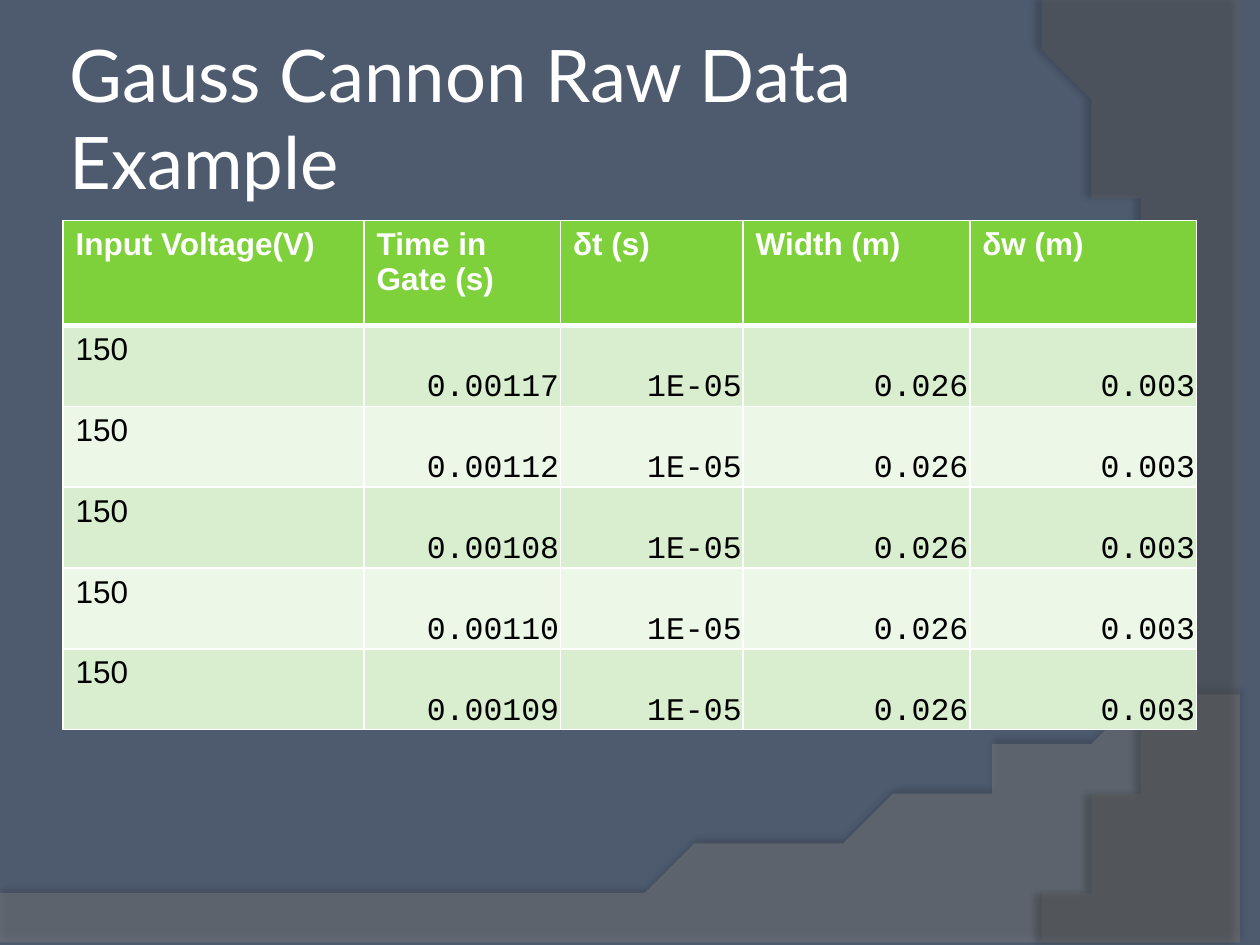
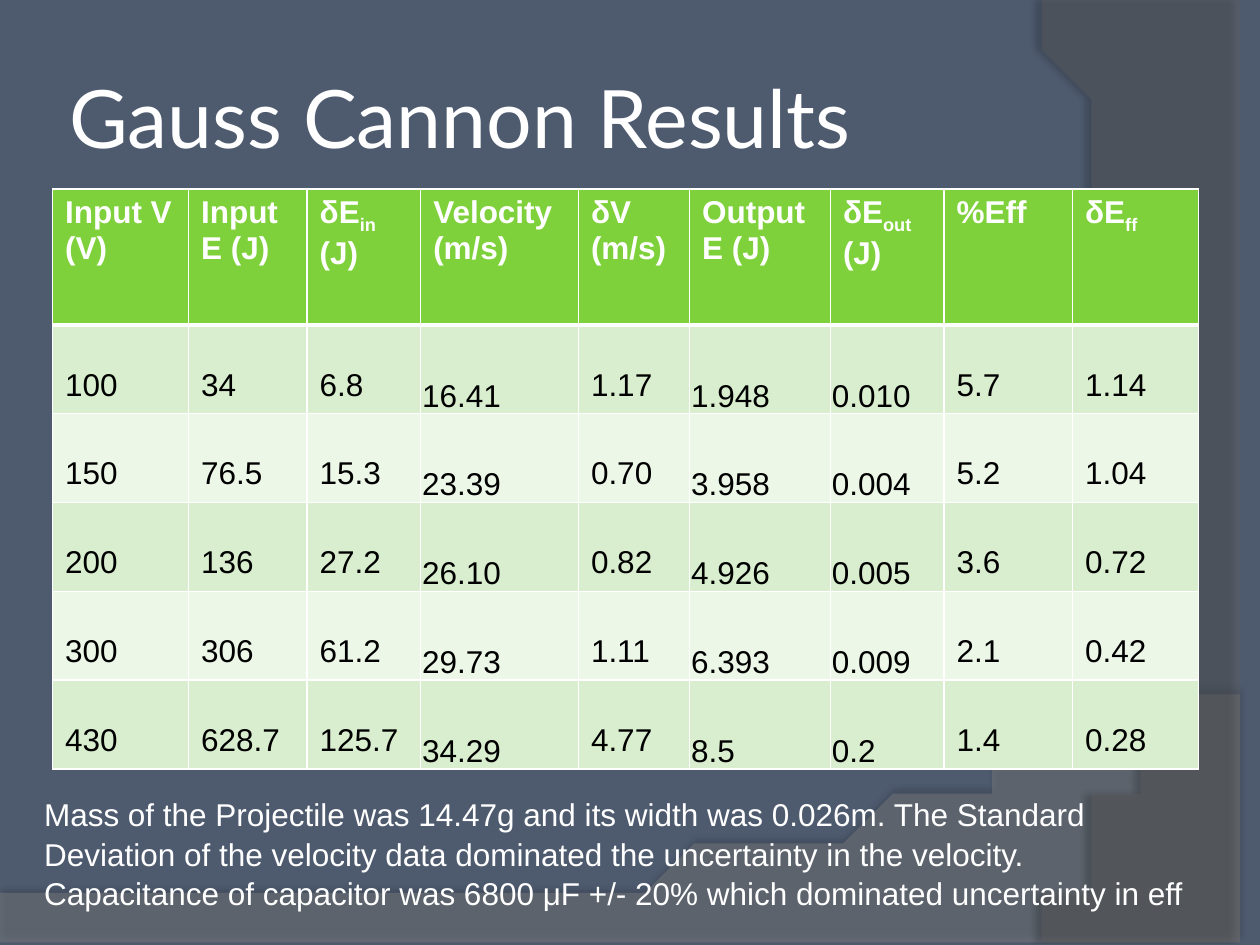
from dataclasses import dataclass

from lxml import etree
from pptx import Presentation
from pptx.dml.color import RGBColor
from pptx.enum.text import MSO_ANCHOR, MSO_AUTO_SIZE, PP_ALIGN
from pptx.oxml.ns import qn
from pptx.util import Cm, Pt

TOP, MIDDLE, BOTTOM = MSO_ANCHOR.TOP, MSO_ANCHOR.MIDDLE, MSO_ANCHOR.BOTTOM
LEFT, RIGHT = PP_ALIGN.LEFT, PP_ALIGN.RIGHT
NO_AUTOFIT = MSO_AUTO_SIZE.NONE
TITLE_ONLY = 5


@dataclass(frozen=True)
class Theme:
    """Colours, fonts and type sizes shared by the slides."""
    background: str = "4E5B6F"
    hill: str = "7F7F7F"
    arc: str = "5E5E5E"
    light: str = "FFFFFF"
    dark: str = "000000"
    header: str = "7FD13B"
    bands: tuple = ("D8EECE", "ECF7E8")
    title_font: str = "Lato"
    text_font: str = "Arial"
    data_font: str = "Courier New"
    title_size: float = 46
    long_title_size: float = 41.4
    text_size: float = 18
    rule: float = 1
    header_rule: float = 3


@dataclass(frozen=True)
class ColumnStyle:
    """Placement of the body values in a table column."""
    anchor: int = TOP
    align: int = LEFT
    font: str = Theme.text_font
    tight: bool = False
    top: float = 0.13


THEME = Theme()
LABEL = ColumnStyle()
READING = ColumnStyle(BOTTOM, RIGHT, THEME.data_font, True)
LOWERED = ColumnStyle(top=0.86)
COMPUTED = ColumnStyle(BOTTOM, tight=True)

RAW_COLUMNS = [
    ("Input Voltage(V)", 6.07, LABEL),
    ("Time in Gate (s)", 3.96, READING),
    ("δt (s)", 3.68, READING),
    ("Width (m)", 4.57, READING),
    ("δw (m)", 4.57, READING),
]
GATE_TIMES = ["0.00117", "0.00112", "0.00108", "0.00110", "0.00109"]

RESULT_COLUMNS = [
    ("Input V (V)", 2.74, LOWERED),
    ("Input E (J)", 2.39, LOWERED),
    (("δE", "in", " (J)"), 2.29, LOWERED),
    ("Velocity (m/s)", 3.18, COMPUTED),
    ("δV (m/s)", 2.24, LOWERED),
    ("Output E (J)", 2.84, COMPUTED),
    (("δE", "out", " (J)"), 2.29, COMPUTED),
    ("%Eff", 2.59, LOWERED),
    (("δE", "ff"), 2.54, LOWERED),
]
RESULTS = [
    ["100", "34", "6.8", "16.41", "1.17", "1.948", "0.010", "5.7", "1.14"],
    ["150", "76.5", "15.3", "23.39", "0.70", "3.958", "0.004", "5.2", "1.04"],
    ["200", "136", "27.2", "26.10", "0.82", "4.926", "0.005", "3.6", "0.72"],
    ["300", "306", "61.2", "29.73", "1.11", "6.393", "0.009", "2.1", "0.42"],
    ["430", "628.7", "125.7", "34.29", "4.77", "8.5", "0.2", "1.4", "0.28"],
]
NOTES = [
    "Mass of the Projectile was 14.47g and its width was 0.026m. The Standard",
    "Deviation of the velocity data dominated the uncertainty in the velocity.",
    "Capacitance of capacitor was 6800 μF +/- 20% which dominated uncertainty in eff",
]


def format_runs(paragraph, color, size=THEME.text_size, font=THEME.text_font, bold=False):
    """Apply one character style to every run of a paragraph."""
    for run in paragraph.runs:
        run.font.name = font
        run.font.size = Pt(size)
        run.font.bold = bold
        run.font.color.rgb = RGBColor.from_string(color)


def add_color(parent, color, alpha=None):
    """Append an RGB colour element, with its opacity in percent if given."""
    node = etree.SubElement(parent, qn("a:srgbClr"), val=color)
    if alpha is not None:
        etree.SubElement(node, qn("a:alpha"), val=str(alpha * 1000))


def cubic(start, control_a, control_b, end, steps=48):
    """Return points along a cubic curve, without its start."""
    points = []
    for step in range(1, steps + 1):
        t = step / steps
        weights = ((1 - t) ** 3, 3 * t * (1 - t) ** 2, 3 * t * t * (1 - t), t ** 3)
        anchors = (start, control_a, control_b, end)
        points.append(tuple(sum(w * p[axis] for w, p in zip(weights, anchors))
                            for axis in (0, 1)))
    return points


def add_swoosh(prs, slide, depth, corners, curve, color, alpha, shadow):
    """Draw a translucent curved band and place it on the slide master."""
    outline = corners + cubic(corners[-1], *curve)
    builder = slide.shapes.build_freeform(*outline[0], scale=Cm(1))
    builder.add_line_segments(outline[1:], close=True)
    swoosh = builder.convert_to_shape()
    swoosh.shadow.inherit = False
    swoosh.line.fill.background()
    swoosh.fill.solid()
    swoosh.fill.fore_color.rgb = RGBColor.from_string(color)
    properties = swoosh.element.spPr
    tint = properties.find(qn("a:solidFill")).find(qn("a:srgbClr"))
    etree.SubElement(tint, qn("a:alpha"), val=str(alpha * 1000))
    opacity, blur, distance, angle = shadow
    cast = etree.SubElement(
        properties.find(qn("a:effectLst")), qn("a:outerShdw"),
        blurRad=str(Pt(blur)), dist=str(Pt(distance)), dir=str(angle * 60000),
        algn="ctr", rotWithShape="0")
    add_color(cast, THEME.dark, opacity)
    swoosh.element.nvSpPr.cNvPr.set("id", str(20 + depth))
    prs.slide_master.element.cSld.spTree.insert(2 + depth, swoosh.element)


def style_master(prs, slide):
    """Give the master its background and the two curved bands."""
    background = prs.slide_master.background.fill
    background.solid()
    background.fore_color.rgb = RGBColor.from_string(THEME.background)
    add_swoosh(prs, slide, 0,
               [(0, 17.91), (0, 19.05), (25.4, 19.05), (25.4, 13.21)],
               [(14.2, 18.52), (9.93, 18.26), (0, 17.91)],
               THEME.hill, 45, (35, 4, 3.5, 270))
    add_swoosh(prs, slide, 1,
               [(25.4, 0.05), (25.4, 19.05), (20.85, 19.05)],
               [(23.75, 15.72), (25.86, 7.62), (20.32, 0)],
               THEME.arc, 40, (45, 4, 4, 180))


def add_titled_slide(prs, heading, size):
    """Add a slide with a left-aligned title."""
    slide = prs.slides.add_slide(prs.slide_layouts[TITLE_ONLY])
    title = slide.shapes.title
    title.left, title.top, title.width, title.height = Cm(1.27), Cm(0.76), Cm(20.75), Cm(3.18)
    frame = title.text_frame
    frame.text = heading
    frame.auto_size = NO_AUTOFIT
    frame.word_wrap = True
    frame.vertical_anchor = MIDDLE
    frame.margin_left = frame.margin_right = frame.margin_top = frame.margin_bottom = Cm(0.13)
    frame.paragraphs[0].alignment = LEFT
    format_runs(frame.paragraphs[0], THEME.light, size, THEME.title_font)
    return slide


def style_cell(cell, fill, top_rule, bottom_rule):
    """Set the borders and fill of a table cell."""
    properties = cell._tc.get_or_add_tcPr()
    widths = {"a:lnL": THEME.rule, "a:lnR": THEME.rule,
              "a:lnT": top_rule, "a:lnB": bottom_rule}
    for side, width in widths.items():
        border = etree.SubElement(properties, qn(side), w=str(Pt(width)))
        add_color(etree.SubElement(border, qn("a:solidFill")), THEME.light)
    cell.fill.solid()
    cell.fill.fore_color.rgb = RGBColor.from_string(fill)


def write_header(cell, label):
    """Write a column heading; the second part of a tuple is a subscript."""
    style_cell(cell, THEME.header, THEME.rule, THEME.header_rule)
    paragraph = cell.text_frame.paragraphs[0]
    parts = (label,) if isinstance(label, str) else label
    for part in parts:
        paragraph.add_run().text = part
    format_runs(paragraph, THEME.light, bold=True)
    if len(parts) > 1:
        paragraph.runs[1]._r.get_or_add_rPr().set("baseline", "-25000")


def write_value(cell, value, style, row):
    """Write a body value in the style of its column."""
    top_rule = THEME.header_rule if row == 0 else THEME.rule
    style_cell(cell, THEME.bands[row % 2], top_rule, THEME.rule)
    cell.vertical_anchor = style.anchor
    if style.tight:
        cell.margin_left = cell.margin_right = cell.margin_top = Cm(0.03)
        cell.margin_bottom = 0
    else:
        cell.margin_top = Cm(style.top)
    cell.text_frame.text = value
    paragraph = cell.text_frame.paragraphs[0]
    paragraph.alignment = style.align
    format_runs(paragraph, THEME.dark, font=style.font)


def add_data_table(slide, left, top, columns, records, header_height, row_height):
    """Add a banded table with a heading row."""
    width = sum(column[1] for column in columns)
    height = header_height + row_height * len(records)
    table = slide.shapes.add_table(len(records) + 1, len(columns), Cm(left), Cm(top),
                                   Cm(width), Cm(height)).table
    table.rows[0].height = Cm(header_height)
    for row in range(len(records)):
        table.rows[row + 1].height = Cm(row_height)
    for index, (label, column_width, style) in enumerate(columns):
        table.columns[index].width = Cm(column_width)
        write_header(table.cell(0, index), label)
        for row, record in enumerate(records):
            write_value(table.cell(row + 1, index), record[index], style, row)


def add_notes_below(slide, lines):
    """Add the remarks under the results table."""
    frame = slide.shapes.add_textbox(Cm(0.64), Cm(15.88), Cm(24.05), Cm(2.57)).text_frame
    frame.word_wrap = True
    frame.text = "\n".join(lines)
    for paragraph in frame.paragraphs:
        paragraph.line_spacing = 1.04
        format_runs(paragraph, THEME.light)


def main():
    """Build the two slides and save them."""
    prs = Presentation()
    prs.slide_width, prs.slide_height = Cm(25.4), Cm(19.05)

    raw_data = add_titled_slide(prs, "Gauss Cannon Raw Data Example", THEME.long_title_size)
    style_master(prs, raw_data)
    readings = [["150", time, "1E-05", "0.026", "0.003"] for time in GATE_TIMES]
    add_data_table(raw_data, 1.27, 4.45, RAW_COLUMNS, readings, 2.11, 1.63)

    results = add_titled_slide(prs, "Gauss Cannon Results", THEME.title_size)
    add_data_table(results, 1.06, 3.81, RESULT_COLUMNS, RESULTS, 2.74, 1.79)
    add_notes_below(results, NOTES)

    prs.save("out.pptx")


if __name__ == "__main__":
    main()
